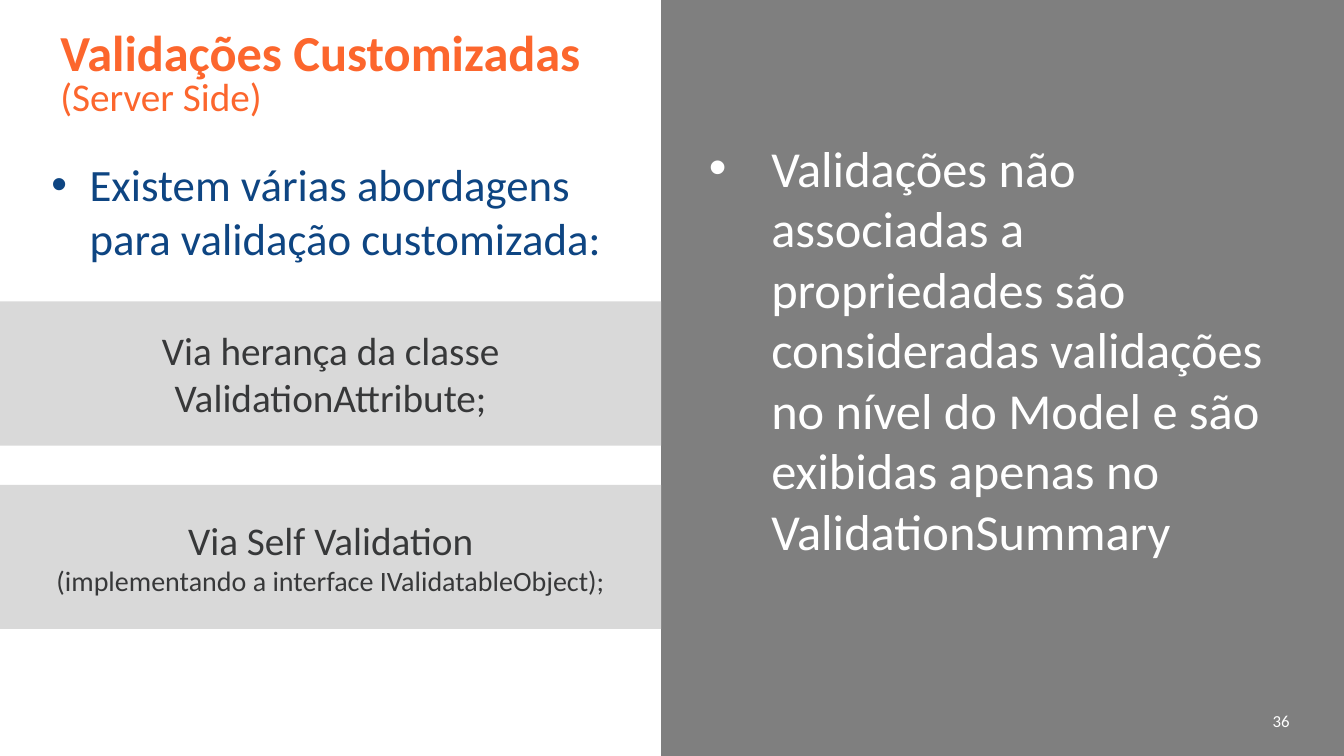
from lxml.etree import SubElement
from pptx import Presentation
from pptx.dml.color import RGBColor
from pptx.enum.shapes import MSO_SHAPE
from pptx.enum.text import MSO_ANCHOR, PP_ALIGN
from pptx.oxml.ns import qn
from pptx.util import Inches, Pt

WHITE = RGBColor(0xFF, 0xFF, 0xFF)
ORANGE = RGBColor(0xFC, 0x66, 0x2D)
NAVY = RGBColor(0x0E, 0x45, 0x82)
CHARCOAL = RGBColor(0x37, 0x38, 0x39)
PANEL_GRAY = RGBColor(0x7F, 0x7F, 0x7F)
BAND_GRAY = RGBColor(0xD9, 0xD9, 0xD9)

GRID = 100  # columns and rows across the slide
SPLIT = 49.2  # column where the gray panel starts
BAND_TOP, BAND_HEIGHT, BAND_STEP = 39.87, 19.07, 24.26


class SlideBuilder:
    font_name = "Calibri"

    def __init__(self, presentation):
        self.column = presentation.slide_width / GRID
        self.row = presentation.slide_height / GRID
        self.slide = presentation.slides.add_slide(presentation.slide_layouts[6])

    def place(self, left, top, width, height):
        return (round(left * self.column), round(top * self.row),
                round(width * self.column), round(height * self.row))

    def set_lines(self, frame, lines, color, align=PP_ALIGN.LEFT,
                  anchor=MSO_ANCHOR.MIDDLE, spacing=None, hanging=None):
        """Fill a frame with (text, size, bold) lines."""
        frame.word_wrap = True
        frame.vertical_anchor = anchor
        frame.text = "\n".join(text for text, _, _ in lines)
        for paragraph, (_, size, bold) in zip(frame.paragraphs, lines):
            paragraph.alignment = align
            if spacing:
                paragraph.line_spacing = spacing
            if hanging:
                self.add_bullet(paragraph, hanging)
            for run in paragraph.runs:
                run.font.name = self.font_name
                run.font.size = Pt(size)
                run.font.bold = bold
                run.font.color.rgb = color

    def add_bullet(self, paragraph, hanging):
        properties = paragraph._p.get_or_add_pPr()
        properties.set("marL", str(Inches(hanging)))
        properties.set("indent", str(-Inches(hanging)))
        SubElement(properties, qn("a:buFont"), typeface="Arial")
        SubElement(properties, qn("a:buChar"), char="•")

    def text(self, area, lines, color, **style):
        box = self.slide.shapes.add_textbox(*self.place(*area))
        self.set_lines(box.text_frame, lines, color, **style)

    def block(self, area, fill, lines=()):
        rectangle = self.slide.shapes.add_shape(MSO_SHAPE.RECTANGLE, *self.place(*area))
        rectangle.shadow.inherit = False
        rectangle.fill.solid()
        rectangle.fill.fore_color.rgb = fill
        rectangle.line.fill.background()
        if lines:
            self.set_lines(rectangle.text_frame, lines, CHARCOAL, align=PP_ALIGN.CENTER)


def main():
    presentation = Presentation()
    presentation.slide_width = Inches(13.33)
    presentation.slide_height = Inches(7.5)
    builder = SlideBuilder(presentation)

    # Right panel and slide number
    builder.block((SPLIT, 0, GRID - SPLIT, GRID), PANEL_GRAY)
    builder.text((73.37, 92.67, 23.33, 5.33), [("36", 12, False)], WHITE,
                 align=PP_ALIGN.RIGHT)

    # Title
    builder.text((3.75, 2.4, 85.82, 15.2),
                 [("Validações Customizadas", 36, True), ("(Server Side)", 28, False)],
                 ORANGE, spacing=0.8)

    # Note on model-level validation
    model_note = ("Validações não associadas a propriedades são consideradas "
                  "validações no nível do Model e são exibidas apenas no "
                  "ValidationSummary")
    builder.text((52, 17.47, 45.16, 66), [(model_note, 36, False)], WHITE,
                 anchor=MSO_ANCHOR.TOP, hanging=0.62)

    # Introduction to the approaches
    builder.text((3.08, 20.13, 43.21, 20.4),
                 [("Existem várias abordagens para validação customizada:", 32, False)],
                 NAVY, anchor=MSO_ANCHOR.TOP, hanging=0.38)

    # Approach bands
    approaches = [
        [("Via herança da classe ValidationAttribute;", 28, False)],
        [("Via Self Validation", 28, False),
         ("(implementando a interface IValidatableObject);", 20, False)],
    ]
    for index, approach in enumerate(approaches):
        builder.block((0, BAND_TOP + index * BAND_STEP, SPLIT, BAND_HEIGHT),
                      BAND_GRAY, approach)

    presentation.save("out.pptx")


if __name__ == "__main__":
    main()
